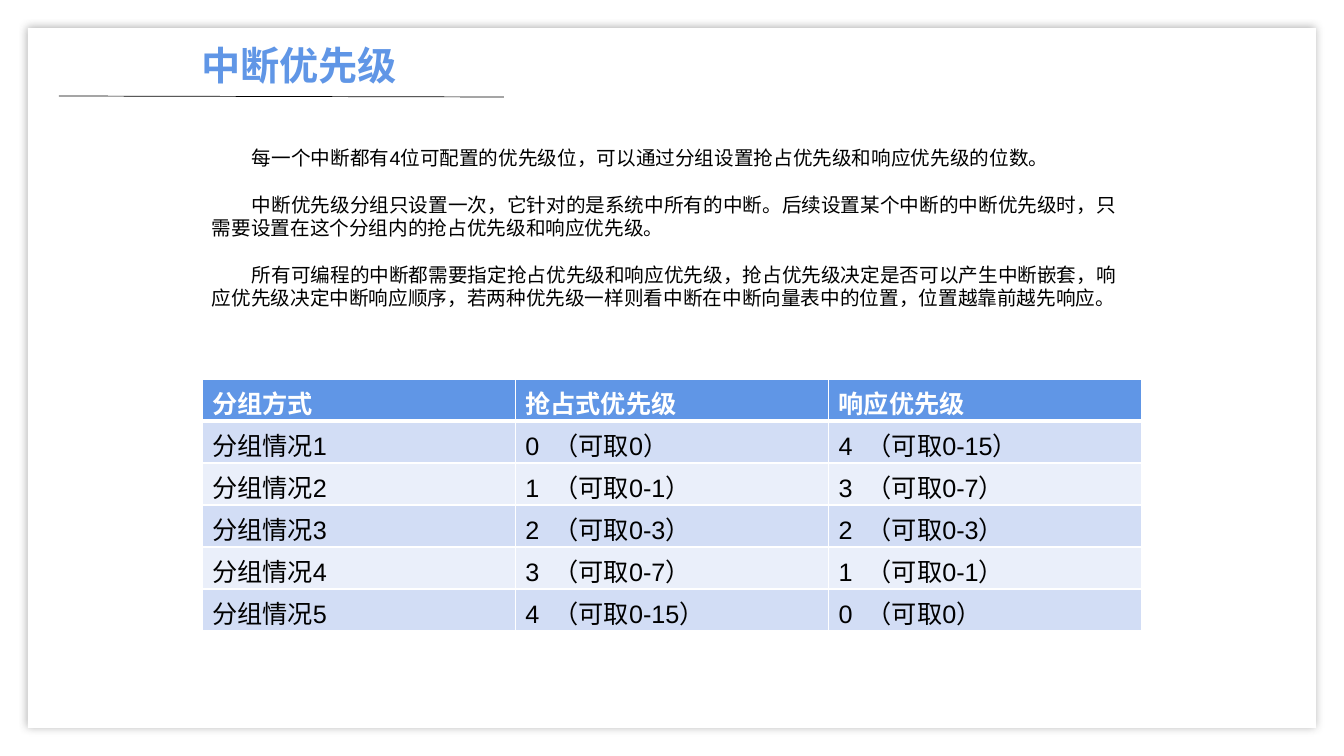
from lxml import etree
from pptx import Presentation
from pptx.dml.color import RGBColor
from pptx.enum.lang import MSO_LANGUAGE_ID
from pptx.enum.shapes import MSO_CONNECTOR, MSO_SHAPE
from pptx.enum.text import MSO_AUTO_SIZE, PP_ALIGN
from pptx.oxml import parse_xml
from pptx.oxml.ns import qn
from pptx.util import Emu, Pt

RECT = MSO_SHAPE.RECTANGLE
STRAIGHT = MSO_CONNECTOR.STRAIGHT
CENTER, LEFT = PP_ALIGN.CENTER, PP_ALIGN.LEFT
CHINESE = MSO_LANGUAGE_ID.SIMPLIFIED_CHINESE
NS = 'xmlns:a="http://schemas.openxmlformats.org/drawingml/2006/main"'
BLUE, WHITE, BLACK = "6096E6", "FFFFFF", "000000"
BANDS = ("D2DDF5", "EAEFFA")

TITLE = "中断优先级"
NOTES = (
    "每一个中断都有4位可配置的优先级位，可以通过分组设置抢占优先级和响应优先级的位数。",
    "中断优先级分组只设置一次，它针对的是系统中所有的中断。后续设置某个中断的中断优先级时，"
    "只需要设置在这个分组内的抢占优先级和响应优先级。",
    "所有可编程的中断都需要指定抢占优先级和响应优先级，抢占优先级决定是否可以产生中断嵌套，"
    "响应优先级决定中断响应顺序，若两种优先级一样则看中断在中断向量表中的位置，位置越靠前越先响应。",
)
HEADINGS = ("分组方式", "抢占式优先级", "响应优先级")
PRIORITY_BITS = 4


def px(n):
    """Turn px into EMU."""
    return Emu(round(n * 914400 / 100.8))


def color(value):
    """Turn a hex string into a colour."""
    return RGBColor.from_string(value)


def write(p, text, size, ink, bold=False, align=LEFT):
    """Write one run of text into a paragraph."""
    p.alignment = align
    r = p.add_run()
    r.text = text
    formats = {"name": "Arial", "size": Pt(size), "bold": bold, "language_id": CHINESE}
    for name, value in formats.items():
        setattr(r.font, name, value)
    r.font.color.rgb = color(ink)


def add_text_box(slide, box):
    """Add a wrapping text box and return its text frame."""
    tf = slide.shapes.add_textbox(*map(px, box)).text_frame
    tf.word_wrap = True
    tf.auto_size = MSO_AUTO_SIZE.SHAPE_TO_FIT_TEXT
    return tf


def add_panel(slide, box):
    """Add the white panel with its soft shadow."""
    sp = slide.shapes.add_shape(RECT, *map(px, box))
    sp.fill.solid()
    sp.fill.fore_color.rgb = color(WHITE)
    sp.line.fill.background()
    sp.shadow.inherit = False
    effects = sp._element.spPr.find(qn("a:effectLst"))
    effects.append(parse_xml(
        f'<a:outerShdw {NS} blurRad="76200" dist="0" dir="0" algn="ctr" rotWithShape="0">'
        '<a:srgbClr val="404040"><a:alpha val="41000"/></a:srgbClr></a:outerShdw>'))


def add_title(slide, box):
    """Add the title and the rule below it."""
    left, top, width, height = box
    tf = add_text_box(slide, (left + 64, top, 352, height))
    write(tf.paragraphs[0], TITLE, 28, BLUE, True, CENTER)
    rule = slide.shapes.add_connector(
        STRAIGHT, px(left), px(top + 60), px(left + width), px(top + 61))
    rule.line.color.rgb = color(BLACK)
    rule.line.width = Pt(0.5)
    etree.SubElement(rule._element.spPr, qn("a:effectLst"))


def add_notes(slide, box):
    """Add the indented paragraphs."""
    tf = add_text_box(slide, box)
    for i, note in enumerate(NOTES):
        p = tf.paragraphs[0] if i == 0 else tf.add_paragraph()
        p._p.get_or_add_pPr().set("indent", str(px(40)))
        if i:
            p.space_before = px(23)
        write(p, note, 14, BLACK)


def add_borders(cell, row):
    """Draw white cell borders, thick between the heading and the body."""
    widths = {"L": 1, "R": 1, "T": 3 if row == 1 else 1, "B": 3 if row == 0 else 1}
    tc_pr = cell._tc.get_or_add_tcPr()
    for side, width in widths.items():
        tc_pr.append(parse_xml(
            f'<a:ln{side} {NS} w="{Pt(width)}"><a:solidFill><a:srgbClr val="{WHITE}"/>'
            f'</a:solidFill></a:ln{side}>'))


def describe(bits):
    """Give a number of bits and the range of values it allows."""
    top = 2 ** bits - 1
    return f"{bits}\t（可取{f'0-{top}' if top else '0'}）"


def add_groups(slide, box):
    """Add the table of priority groups."""
    rows = [HEADINGS] + [
        (f"分组情况{bits + 1}", describe(bits), describe(PRIORITY_BITS - bits))
        for bits in range(PRIORITY_BITS + 1)]
    frame = slide.shapes.add_table(len(rows), len(HEADINGS), *map(px, box))
    table = frame.table
    for r, texts in enumerate(rows):
        table.rows[r].height = px(box[3] // len(rows))
        for c, text in enumerate(texts):
            cell = table.cell(r, c)
            add_borders(cell, r)
            cell.fill.solid()
            cell.fill.fore_color.rgb = color(BANDS[(r - 1) % 2] if r else BLUE)
            p = cell.text_frame.paragraphs[0]
            if "\t" in text:
                p._p.get_or_add_pPr().append(parse_xml(
                    f'<a:tabLst {NS}><a:tab pos="{px(28)}" algn="l"/></a:tabLst>'))
            write(p, text, 18, BLACK if r else WHITE, r == 0)


def main():
    """Build and save the slide."""
    prs = Presentation()
    prs.slide_width, prs.slide_height = px(1344), px(756)
    slide = prs.slides.add_slide(prs.slide_layouts[6])
    add_panel(slide, (28, 28, 1288, 700))
    add_title(slide, (59, 36, 445, 57))
    add_groups(slide, (202, 379, 940, 252))
    add_notes(slide, (202, 141, 934, 176))
    prs.save("out.pptx")


if __name__ == "__main__":
    main()
